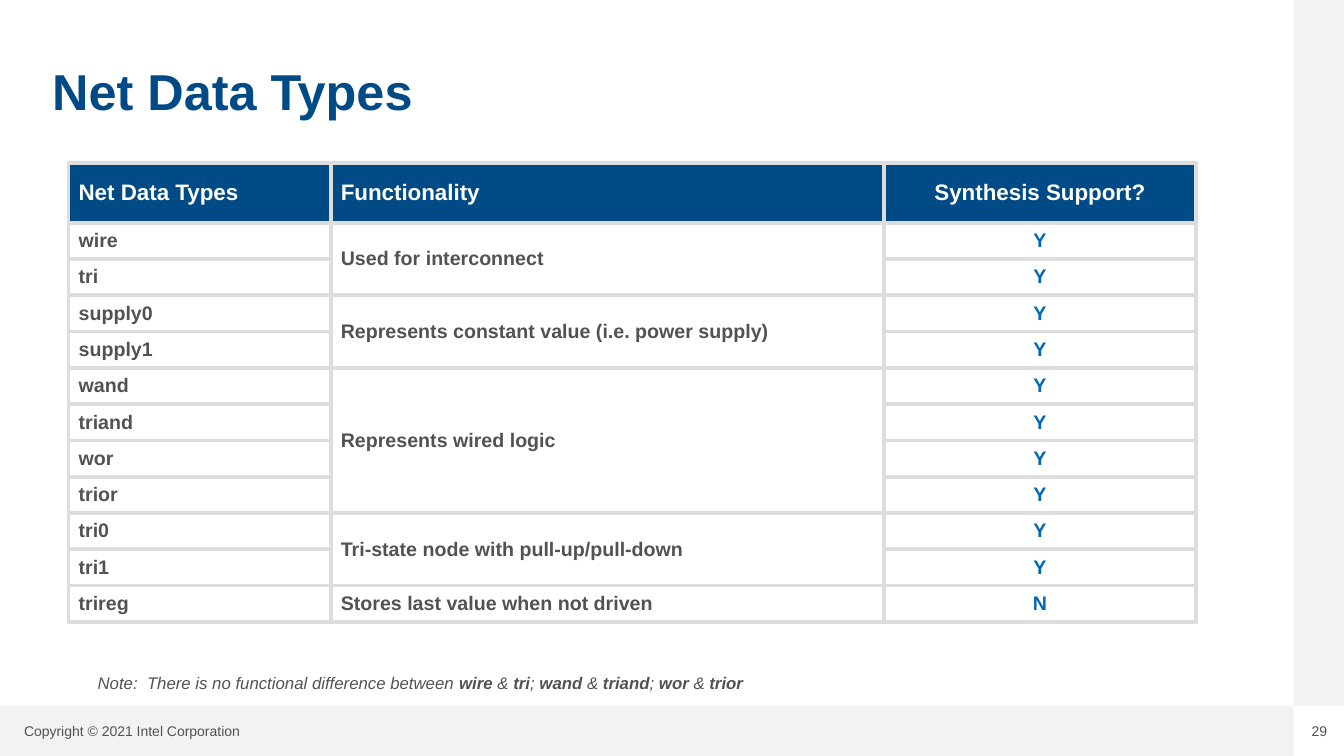
"""Builds the slide that lists the net data types and their synthesis support."""
from lxml.etree import SubElement
from pptx import Presentation
from pptx.dml.color import RGBColor
from pptx.enum.shapes import MSO_SHAPE
from pptx.enum.text import MSO_ANCHOR, PP_ALIGN
from pptx.oxml.ns import qn
from pptx.util import Inches, Pt

NAVY = RGBColor(0x00, 0x4A, 0x86)
BLUE = RGBColor(0x00, 0x68, 0xB5)
GRAY = RGBColor(0x52, 0x52, 0x52)
PALE = RGBColor(0xF2, 0xF2, 0xF2)
BORDER = RGBColor(0xDD, 0xDD, 0xDD)
WHITE = RGBColor(0xFF, 0xFF, 0xFF)

HEADINGS = ["Net Data Types", "Functionality", "Synthesis Support?"]
GROUPS = [
    ("Used for interconnect", ["wire", "tri"], "Y"),
    ("Represents constant value (i.e. power supply)", ["supply0", "supply1"], "Y"),
    ("Represents wired logic", ["wand", "triand", "wor", "trior"], "Y"),
    ("Tri-state node with pull-up/pull-down", ["tri0", "tri1"], "Y"),
    ("Stores last value when not driven", ["trireg"], "N"),
]
COLUMN_WIDTHS = [2.6, 5.49, 3.09]
COLUMN_ALIGNMENTS = [PP_ALIGN.LEFT, PP_ALIGN.LEFT, PP_ALIGN.CENTER]
COLUMN_COLORS = [GRAY, GRAY, BLUE]
HEADER_HEIGHT = 0.59
ROW_HEIGHT = 0.36
EQUIVALENT_PAIRS = [("wire", "tri"), ("wand", "triand"), ("wor", "trior")]


class SlideBuilder:
    """Holds the text style and the current slide."""

    def __init__(self, page, font_name):
        self.page = page
        self.font_name = font_name

    def write_span(self, para, text, color, **formats):
        """Adds a run with the given font values."""
        span = para.add_run()
        span.text = text
        span.font.color.rgb = color
        for name, value in {"name": self.font_name, **formats}.items():
            setattr(span.font, name, value)

    def add_band(self, left, top, width, height):
        """Adds a pale rectangle along a slide edge."""
        band = self.page.shapes.add_shape(
            MSO_SHAPE.RECTANGLE, *map(Inches, (left, top, width, height)))
        band.shadow.inherit = False
        band.fill.solid()
        band.fill.fore_color.rgb = PALE
        band.line.fill.background()

    def add_text(self, bounds, spans, color, size, margins=(0.1, 0.05),
                 alignment=PP_ALIGN.LEFT, anchor=MSO_ANCHOR.TOP, **formats):
        """Adds a one-paragraph text box from pairs of text and boldness."""
        box = self.page.shapes.add_textbox(*map(Inches, bounds))
        side, edge = map(Inches, margins)
        frame_formats = {
            "word_wrap": True, "vertical_anchor": anchor,
            "margin_left": side, "margin_right": side,
            "margin_top": edge, "margin_bottom": edge,
        }
        for name, value in frame_formats.items():
            setattr(box.text_frame, name, value)
        para = box.text_frame.paragraphs[0]
        para.alignment = alignment
        for text, bold in spans:
            self.write_span(para, text, color, size=Pt(size), bold=bold, **formats)

    def add_table(self, left, top, row_count):
        """Adds an unstyled bordered table with a taller header row."""
        height = HEADER_HEIGHT + ROW_HEIGHT * (row_count - 1)
        table = self.page.shapes.add_table(
            row_count, len(COLUMN_WIDTHS), Inches(left), Inches(top),
            Inches(sum(COLUMN_WIDTHS)), Inches(height)).table
        table.horz_banding = False
        for column, width in zip(table.columns, COLUMN_WIDTHS):
            column.width = Inches(width)
        for index, row in enumerate(table.rows):
            row.height = Inches(ROW_HEIGHT if index else HEADER_HEIGHT)
        for cell in table.iter_cells():
            self.style_cell(cell)
        return table

    def style_cell(self, cell):
        """Gives a cell its four borders and no fill."""
        properties = cell._tc.get_or_add_tcPr()
        for side in ("lnL", "lnR", "lnT", "lnB"):
            line = SubElement(properties, qn(f"a:{side}"), w=str(Pt(3)))
            fill = SubElement(line, qn("a:solidFill"))
            SubElement(fill, qn("a:srgbClr"), val=str(BORDER))
        cell.fill.background()
        cell.vertical_anchor = MSO_ANCHOR.MIDDLE

    def write_cell(self, table, row, column, text):
        """Writes a header or body cell in the style of its column."""
        cell = table.cell(row, column)
        color, size = COLUMN_COLORS[column], 14
        if row == 0:
            color, size = WHITE, 16
            cell.fill.solid()
            cell.fill.fore_color.rgb = NAVY
        para = cell.text_frame.paragraphs[0]
        para.alignment = COLUMN_ALIGNMENTS[column]
        self.write_span(para, text, color, size=Pt(size), bold=True)

    def add_net_types(self, left, top):
        """Adds the net type table with one merged cell per group."""
        row_count = 1 + sum(len(names) for _, names, _ in GROUPS)
        table = self.add_table(left, top, row_count)
        for column, heading in enumerate(HEADINGS):
            self.write_cell(table, 0, column, heading)
        row = 1
        for functionality, names, support in GROUPS:
            last = row + len(names) - 1
            if last > row:
                table.cell(row, 1).merge(table.cell(last, 1))
            self.write_cell(table, row, 1, functionality)
            for offset, name in enumerate(names):
                self.write_cell(table, row + offset, 0, name)
                self.write_cell(table, row + offset, 2, support)
            row = last + 1


def main():
    """Builds and saves the deck."""
    deck = Presentation()
    deck.slide_width = Inches(13.33)
    deck.slide_height = Inches(7.5)
    page = deck.slides.add_slide(deck.slide_layouts[6])
    builder = SlideBuilder(page, "Arial")

    builder.add_band(0, 7, 12.83, 0.5)
    builder.add_text((0.14, 7.12, 2.67, 0.26),
                     [("Copyright © 2021 Intel Corporation", False)], GRAY, 10)
    builder.add_text((12.7, 7.17, 0.77, 0.17), [("29", False)], GRAY, 10,
                     margins=(0, 0), alignment=PP_ALIGN.CENTER)
    builder.add_band(12.83, 0, 0.5, 7)
    builder.add_text((0.42, 0.24, 12, 1.31), [("Net Data Types", True)], NAVY, 36,
                     anchor=MSO_ANCHOR.MIDDLE)
    builder.add_net_types(0.68, 1.62)

    note = []
    lead = "Note:  There is no functional difference between "
    for first, second in EQUIVALENT_PAIRS:
        note += [(lead, False), (first, True), (" & ", False), (second, True)]
        lead = "; "
    builder.add_text((0.87, 6.62, 9.62, 0.3), note, GRAY, 12, italic=True)

    deck.save("out.pptx")


if __name__ == "__main__":
    main()
